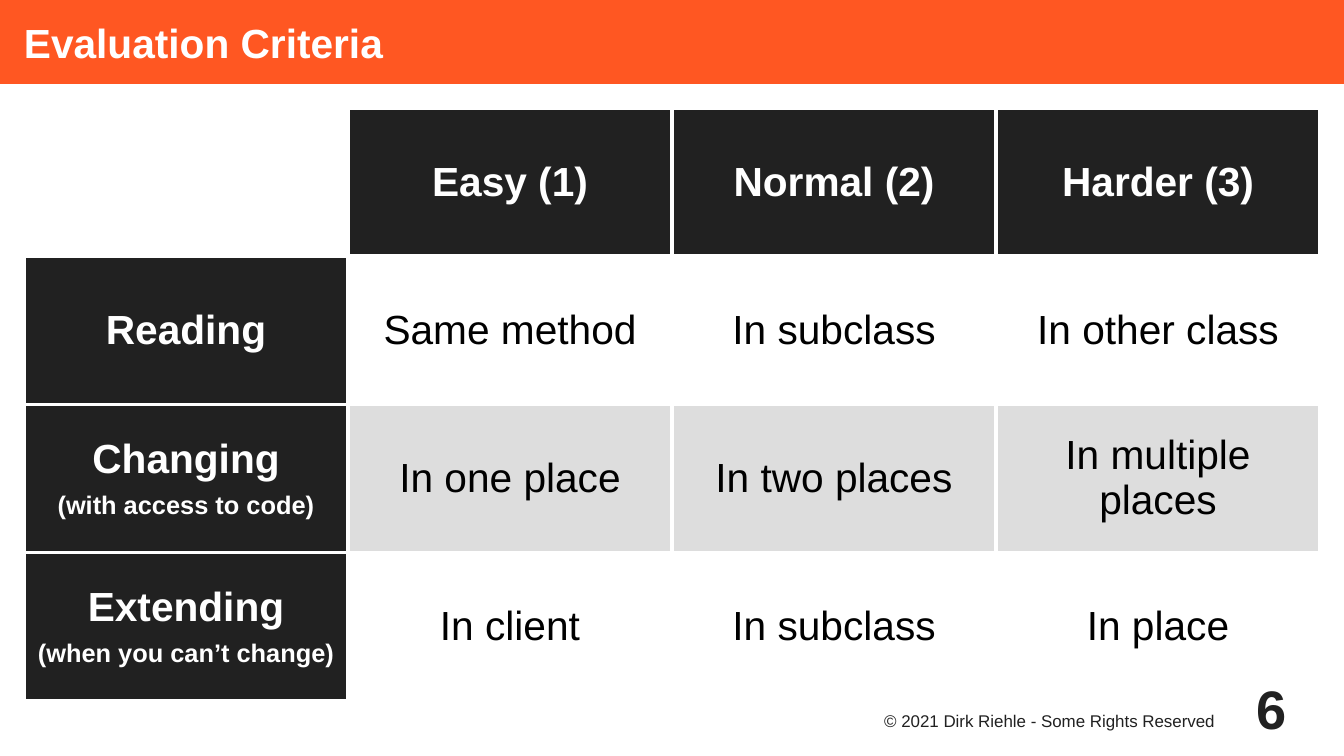
import pptx
import pptx.dml.color
import pptx.enum.shapes
import pptx.enum.text
import pptx.oxml
import pptx.oxml.ns
import pptx.util
from dataclasses import dataclass

Cm = pptx.util.Cm
Pt = pptx.util.Pt
PP_ALIGN = pptx.enum.text.PP_ALIGN
MSO_ANCHOR = pptx.enum.text.MSO_ANCHOR


@dataclass(frozen=True)
class Theme:
    font: str = "Arial"
    accent: str = "FF5722"
    dark: str = "212121"
    band: str = "DDDDDD"
    white: str = "FFFFFF"
    black: str = "000000"
    heading: float = 24
    qualifier: float = 15
    footer: float = 10
    number: float = 32
    rule: float = 2.25
    gap: float = 2.8


THEME = Theme()
LEVELS = ["Easy (1)", "Normal (2)", "Harder (3)"]
CRITERIA = [
    ("Reading", ["Same method", "In subclass", "In other class"]),
    ("Changing\n(with access to code)",
     ["In one place", "In two places", "In multiple places"]),
    ("Extending\n(when you can’t change)",
     ["In client", "In subclass", "In place"]),
]


def rgb(color):
    return pptx.dml.color.RGBColor.from_string(color)


def write(frame, text, size, color, bold=False, align=PP_ALIGN.LEFT):
    frame.word_wrap = True
    frame.text = text
    for index, paragraph in enumerate(frame.paragraphs):
        paragraph.alignment = align
        if index:
            paragraph.space_before = Pt(2 * THEME.gap)
        paragraph.font.size = Pt(THEME.qualifier if index else size)
        for run in paragraph.runs:
            run.font.name = THEME.font
            run.font.size = Pt(THEME.qualifier if index else size)
            run.font.bold = bold
            run.font.color.rgb = rgb(color)


def set_insets(frame, left=0, top=0, right=0, bottom=0):
    frame.margin_left, frame.margin_top = Cm(left), Cm(top)
    frame.margin_right, frame.margin_bottom = Cm(right), Cm(bottom)


def add_title_bar(slide, left, top, width, height, title):
    bar = slide.shapes.add_shape(
        pptx.enum.shapes.MSO_SHAPE.RECTANGLE,
        Cm(left), Cm(top), Cm(width), Cm(height))
    bar.shadow.inherit = False
    bar.fill.solid()
    bar.fill.fore_color.rgb = rgb(THEME.accent)
    bar.line.fill.background()
    write(bar.text_frame, title, THEME.heading, THEME.white, bold=True)
    set_insets(bar.text_frame, left=0.5)
    bar.text_frame.vertical_anchor = MSO_ANCHOR.MIDDLE


def add_borders(cell):
    properties = cell._tc.get_or_add_tcPr()
    for position, side in enumerate(("lnL", "lnR", "lnT", "lnB")):
        border = pptx.oxml.parse_xml(
            f'<a:{side} {pptx.oxml.ns.nsdecls("a")} w="{Pt(THEME.rule)}">'
            f'<a:solidFill><a:srgbClr val="{THEME.white}"/></a:solidFill>'
            f'</a:{side}>')
        properties.insert(position, border)


def add_criteria_table(slide, left, top, width, height):
    rows = [("", LEVELS)] + CRITERIA
    columns = len(LEVELS) + 1
    criteria = slide.shapes.add_table(
        len(rows), columns, Cm(left), Cm(top), Cm(width), Cm(height)).table
    criteria.first_row = criteria.horz_banding = False
    for column in criteria.columns:
        column.width = Cm(width / columns)
    for r, (criterion, ratings) in enumerate(rows):
        criteria.rows[r].height = Cm(height / len(rows))
        for c, text in enumerate([criterion, *ratings]):
            cell = criteria.cell(r, c)
            is_header = bool(text) and (r == 0 or c == 0)
            banded = r == 2
            fill = THEME.dark if is_header else THEME.band if banded else THEME.white
            cell.fill.solid()
            cell.fill.fore_color.rgb = rgb(fill)
            add_borders(cell)
            set_insets(cell, 0.2, 0.13, 0.2, 0.13)
            cell.vertical_anchor = MSO_ANCHOR.MIDDLE
            write(cell.text_frame, text, THEME.heading,
                  THEME.white if is_header else THEME.black,
                  bold=is_header, align=PP_ALIGN.CENTER)


def add_footer(slide, left, top, width, height, rights, number):
    number_width = 2
    credit = slide.shapes.add_textbox(
        Cm(left), Cm(top + 0.75), Cm(width - 1.5), Cm(height - 0.75)).text_frame
    write(credit, rights, THEME.footer, THEME.dark, align=PP_ALIGN.RIGHT)
    set_insets(credit, top=0.05, right=0.7)
    page = slide.shapes.add_textbox(
        Cm(left + width - number_width), Cm(top),
        Cm(number_width), Cm(height)).text_frame
    write(page, number, THEME.number, THEME.dark, bold=True, align=PP_ALIGN.CENTER)
    set_insets(page)
    page.vertical_anchor = MSO_ANCHOR.MIDDLE


def main():
    deck = pptx.Presentation()
    deck.slide_width, deck.slide_height = Cm(28), Cm(15.75)
    slide = deck.slides.add_slide(deck.slide_layouts[6])
    add_title_bar(slide, 0, 0, 28, 1.75, "Evaluation Criteria")
    add_criteria_table(slide, 0.5, 2.25, 27, 12.34)
    add_footer(slide, 18, 14, 9.5, 1.5,
               "© 2021 Dirk Riehle - Some Rights Reserved", "6")
    deck.save("out.pptx")


if __name__ == "__main__":
    main()
